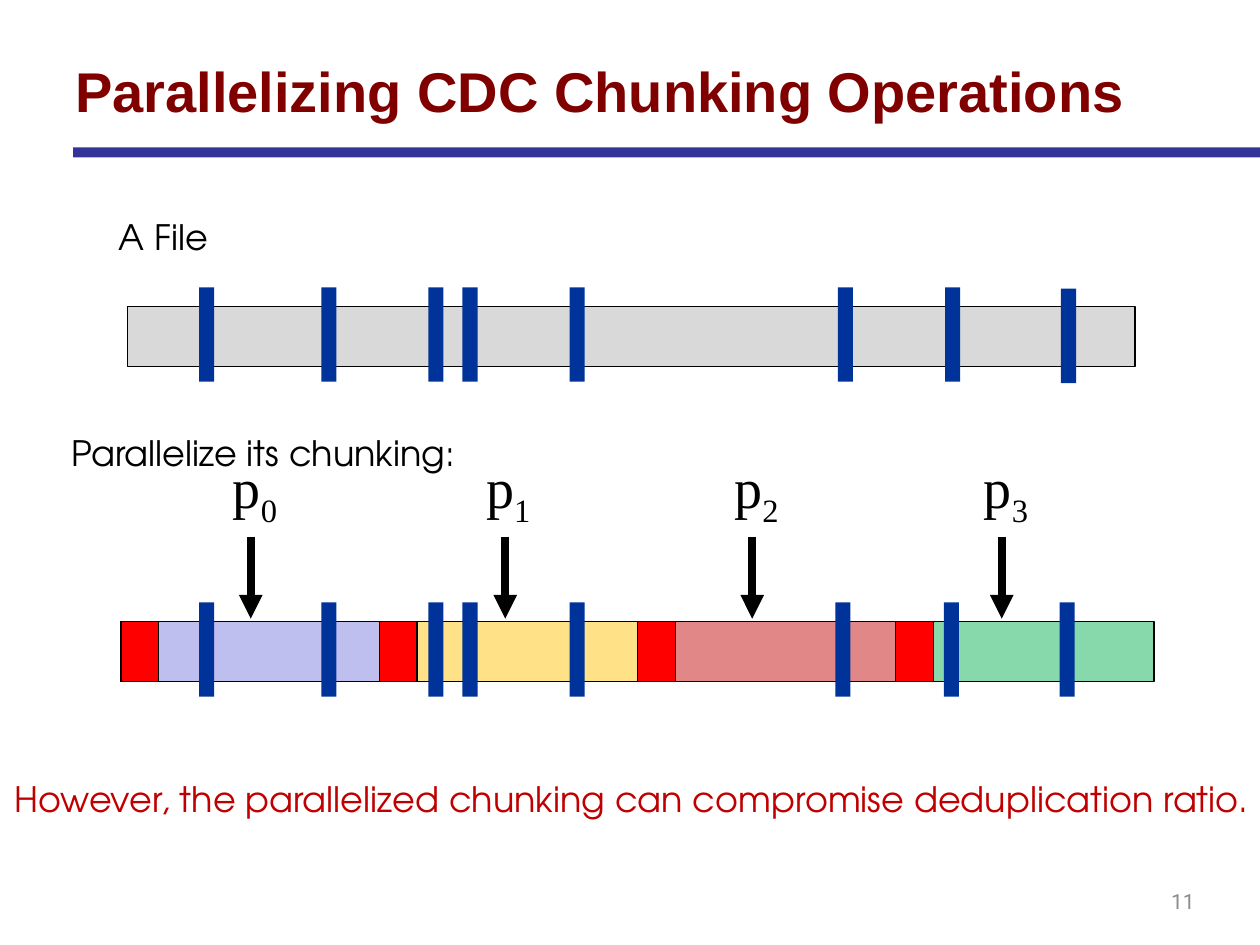
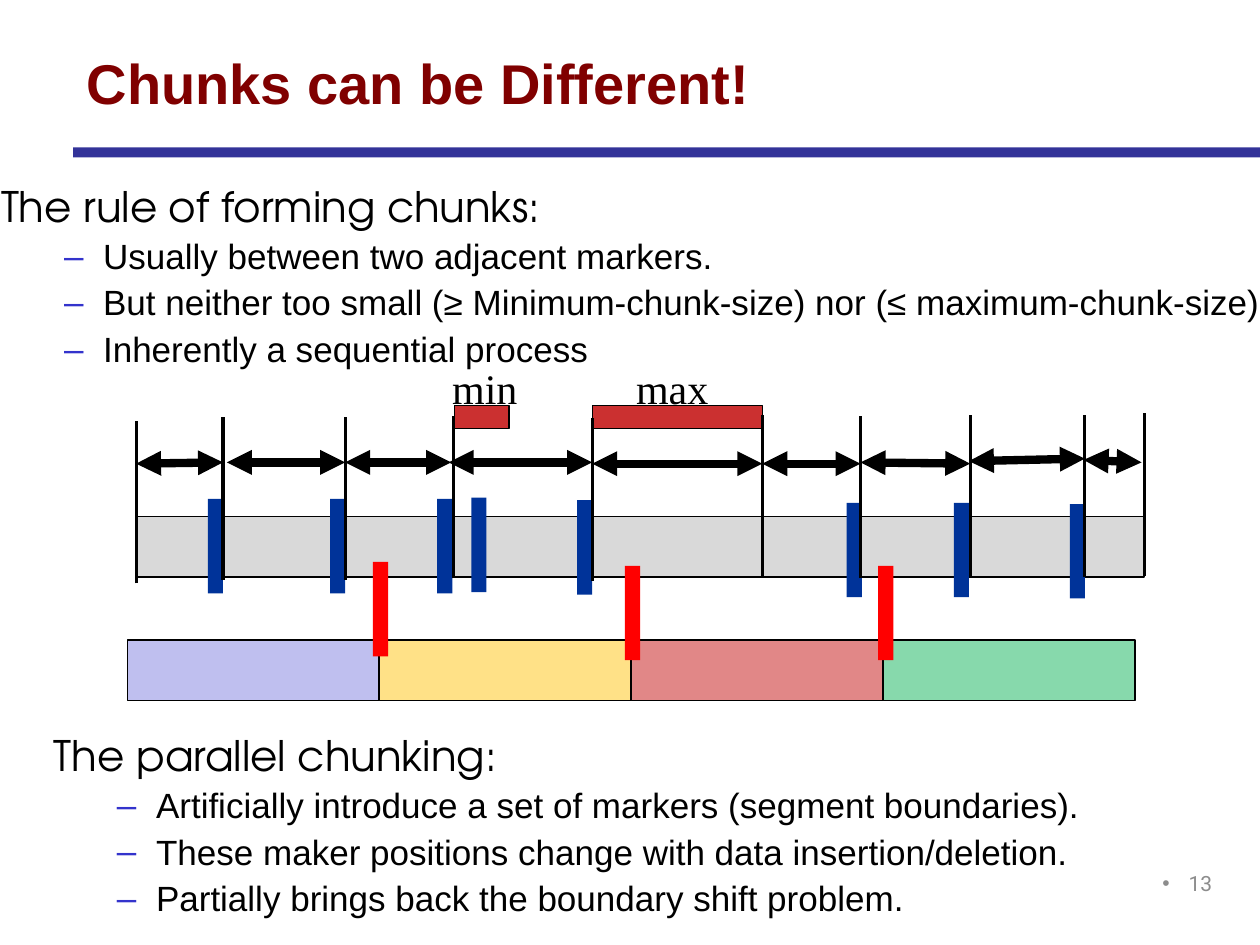
"""Two slides on parallel content-defined chunking."""
from dataclasses import dataclass

from lxml import etree
from pptx import Presentation
from pptx.dml.color import RGBColor
from pptx.enum.shapes import MSO_CONNECTOR, MSO_SHAPE
from pptx.enum.text import MSO_ANCHOR, PP_ALIGN
from pptx.oxml.ns import qn
from pptx.slide import Slide
from pptx.util import Inches, Pt

RECTANGLE = MSO_SHAPE.RECTANGLE
STRAIGHT = MSO_CONNECTOR.STRAIGHT
TOP, MIDDLE = MSO_ANCHOR.TOP, MSO_ANCHOR.MIDDLE
LEFT, CENTER, RIGHT = PP_ALIGN.LEFT, PP_ALIGN.CENTER, PP_ALIGN.RIGHT

BLACK, RED, DARK_RED = "000000", "FF0000", "C00000"
TITLE_COLOR, RULE_COLOR, NUMBER_COLOR = "800000", "333399", "8C8C8C"
FILE_COLOR, MARKER_COLOR, DASH_COLOR = "D9D9D9", "003399", "3333CC"
SEGMENT_COLORS = ("7878DE", "FFC000", DARK_RED, "00B050")
SANS, HEADING, SERIF, NUMBER_FONT = "Arial", "TeX Gyre Adventor", "Times New Roman", "Roboto"

BAR_HEIGHT, MARKER_WIDTH, MARKER_HEIGHT = 0.48, 0.12, 0.75
OVERLAP_WIDTH, BOUNDARY_HEIGHT = 0.3, 1.29


@dataclass(frozen=True)
class Box:
    """A place on the slide, in inches."""
    left: float
    top: float
    width: float
    height: float


@dataclass(frozen=True)
class Bullet:
    """A bullet sign with its colour and indents in inches."""
    sign: str
    color: str
    margin: float
    hanging: float


@dataclass(frozen=True)
class Line:
    """A paragraph of text with its format."""
    text: str
    size: float
    font: str
    color: str = BLACK
    bold: bool = False
    subscript: str = ""
    align: PP_ALIGN = LEFT
    spacing: float = 1.0
    before: float = 0
    bullet: Bullet | None = None


@dataclass(frozen=True)
class Span:
    """A line between two points, in inches."""
    x1: float
    y1: float
    x2: float
    y2: float


DASH = Bullet("–", DASH_COLOR, 0.81, 0.31)
DOT = Bullet("•", NUMBER_COLOR, 0.21, 0.21)

FILE_MARKERS = ((1.58, 2.28), (2.55, 2.28), (3.4, 2.28), (3.67, 2.28),
                (4.52, 2.28), (6.65, 2.28), (7.5, 2.28), (8.42, 2.29))
PARALLEL_MARKERS = tuple((x, 4.78) for x in (1.58, 2.55, 3.4, 3.67, 4.52, 6.63, 7.49, 8.41))
CHUNK_MARKERS = ((1.65, 3.96), (2.62, 3.96), (3.47, 3.96), (3.74, 3.95),
                 (4.58, 3.97), (6.72, 3.99), (7.57, 3.99), (8.49, 4.0))
SEGMENT_MARKERS = ((2.96, 4.46), (4.96, 4.49), (6.97, 4.49))
PROCESSORS = ((1.75, 1.99), (3.76, 4.01), (5.73, 5.97), (7.71, 7.95))
BOUNDARIES = ((1.08, 3.34), (1.77, 3.31), (2.74, 3.31), (3.6, 3.3), (4.7, 3.32),
              (6.05, 3.29), (6.83, 3.3), (7.7, 3.29), (8.61, 3.29), (9.08, 3.28))
CHUNKS = (
    Span(1.08, 3.68, 1.77, 3.67), Span(1.8, 3.67, 2.74, 3.67), Span(2.74, 3.67, 3.58, 3.67),
    Span(3.56, 3.67, 4.7, 3.67), Span(4.7, 3.68, 6.05, 3.68), Span(6.05, 3.68, 6.83, 3.68),
    Span(6.83, 3.67, 7.7, 3.68), Span(7.69, 3.66, 8.61, 3.64), Span(8.6, 3.65, 9.06, 3.67),
)


def rgb(color: str) -> RGBColor:
    """Turn a hex string into a colour."""
    return RGBColor.from_string(color)


def add_bar(slide: Slide, box: Box, color: str, *, outlined: bool = False, opacity: int = 100) -> None:
    """Draw a filled rectangle."""
    bar = slide.shapes.add_shape(
        RECTANGLE, Inches(box.left), Inches(box.top), Inches(box.width), Inches(box.height))
    bar.shadow.inherit = False
    bar.fill.solid()
    bar.fill.fore_color.rgb = rgb(color)
    if opacity < 100:
        tint = bar.fill._xPr.find(qn("a:solidFill"))[0]
        etree.SubElement(tint, qn("a:alpha")).set("val", str(opacity * 1000))
    if outlined:
        bar.line.color.rgb = rgb(BLACK)
        bar.line.width = Pt(0.75)
    else:
        bar.line.fill.background()


def add_line(slide: Slide, span: Span, width: float, *, head: bool = False, tail: bool = False) -> None:
    """Draw a straight black line, with arrowheads where asked."""
    line = slide.shapes.add_connector(
        STRAIGHT, Inches(span.x1), Inches(span.y1), Inches(span.x2), Inches(span.y2))
    line.line.color.rgb = rgb(BLACK)
    line.line.width = Pt(width)
    outline = line.line._get_or_add_ln()
    for end, wanted in (("a:headEnd", head), ("a:tailEnd", tail)):
        if wanted:
            etree.SubElement(outline, qn(end)).set("type", "triangle")
    etree.SubElement(line._element.spPr, qn("a:effectLst"))


def add_text(slide: Slide, box: Box, *lines: Line, anchor: MSO_ANCHOR = TOP,
             wrap: bool = True, right_inset: float = 0.1) -> None:
    """Write formatted paragraphs in a text box."""
    frame = slide.shapes.add_textbox(
        Inches(box.left), Inches(box.top), Inches(box.width), Inches(box.height)).text_frame
    frame.word_wrap = wrap
    frame.vertical_anchor = anchor
    frame.margin_right = Inches(right_inset)
    for index, line in enumerate(lines):
        paragraph = frame.add_paragraph() if index else frame.paragraphs[0]
        paragraph.alignment = line.align
        paragraph.line_spacing = line.spacing
        if line.before:
            paragraph.space_before = Pt(line.before)
        if line.bullet:
            properties = paragraph._p.get_or_add_pPr()
            properties.set("marL", str(Inches(line.bullet.margin)))
            properties.set("indent", str(-Inches(line.bullet.hanging)))
            tint = etree.SubElement(properties, qn("a:buClr"))
            etree.SubElement(tint, qn("a:srgbClr")).set("val", line.bullet.color)
            etree.SubElement(properties, qn("a:buFont")).set("typeface", SANS)
            etree.SubElement(properties, qn("a:buChar")).set("char", line.bullet.sign)
        for part in filter(None, (line.text, line.subscript)):
            run = paragraph.add_run()
            run.text = part
            run.font.size = Pt(line.size)
            run.font.name = line.font
            run.font.bold = line.bold
            run.font.color.rgb = rgb(line.color)
        if line.subscript:
            run.font._element.set("baseline", "-25000")


def add_frame(deck: Presentation, title: str, title_box: Box, number: str,
              number_box: Box, bullet: Bullet | None = None) -> Slide:
    """Add a slide with its rule, title and number."""
    slide = deck.slides.add_slide(deck.slide_layouts[6])
    add_bar(slide, Box(0.58, 1.17, 9.42, 0.08), RULE_COLOR)
    add_text(slide, title_box, Line(title, 32, SANS, TITLE_COLOR, bold=True), anchor=MIDDLE)
    add_text(slide, number_box, Line(number, 12, NUMBER_FONT, NUMBER_COLOR, align=RIGHT, bullet=bullet),
             anchor=MIDDLE)
    return slide


def add_markers(slide: Slide, places: tuple[tuple[float, float], ...], color: str = MARKER_COLOR) -> None:
    """Draw the upright chunk markers."""
    for left, top in places:
        add_bar(slide, Box(left, top, MARKER_WIDTH, MARKER_HEIGHT), color)


def add_segments(slide: Slide, left: float, top: float, width: float) -> None:
    """Draw the row of tinted file segments."""
    for index, color in enumerate(SEGMENT_COLORS):
        add_bar(slide, Box(left + index * width, top, width, BAR_HEIGHT), color, outlined=True, opacity=47)


def add_caption(slide: Slide, text: str, box: Box, color: str = BLACK, right_inset: float = 0.1) -> None:
    """Write a centred caption."""
    add_text(slide, box, Line(text, 20, HEADING, color, align=CENTER, spacing=0.9),
             anchor=MIDDLE, right_inset=right_inset)


def add_points(slide: Slide, box: Box, heading: str, *points: str) -> None:
    """Write a heading with dashed points below it."""
    add_text(slide, box, Line(heading, 24, HEADING),
             *(Line(point, 20, SANS, spacing=0.9, before=5, bullet=DASH) for point in points))


def build_parallel_slide(deck: Presentation) -> None:
    """Show a file chunked by four processors."""
    slide = add_frame(deck, "Parallelizing CDC Chunking Operations", Box(0.5, 0.17, 8.62, 1.09),
                      "11", Box(6.58, 6.95, 3, 0.4))
    add_caption(slide, "A File", Box(0.47, 1.5, 1.65, 0.79))
    add_bar(slide, Box(1.01, 2.43, 8, BAR_HEIGHT), FILE_COLOR, outlined=True)
    add_markers(slide, FILE_MARKERS)

    add_caption(slide, "Parallelize its chunking:", Box(-0.01, 3.22, 4.44, 0.79), right_inset=0.34)
    for index, (label_left, arrow_x) in enumerate(PROCESSORS):
        add_text(slide, Box(label_left, 3.54, 0.71, 0.64), Line("p", 32, SERIF, subscript=str(index)))
        add_line(slide, Span(arrow_x, 4.26, arrow_x, 4.91), 4.5, tail=True)

    row_left, row_top, segment_width = 0.96, 4.93, 2.05
    add_segments(slide, row_left, row_top, segment_width)
    for index in range(len(SEGMENT_COLORS)):
        add_bar(slide, Box(row_left + index * segment_width, row_top, OVERLAP_WIDTH, BAR_HEIGHT),
                RED, outlined=True)
    add_markers(slide, PARALLEL_MARKERS)
    add_caption(slide, "However, the parallelized chunking can compromise deduplication ratio.",
                Box(-0.36, 5.96, 10.75, 0.79), DARK_RED)


def build_difference_slide(deck: Presentation) -> None:
    """Compare sequential chunks with parallel segments."""
    slide = add_frame(deck, "Chunks can be Different!", Box(0.59, 0.32, 9.5, 0.67),
                      "13", Box(6.72, 6.81, 3, 0.4), DOT)
    add_bar(slide, Box(1.08, 4.1, 8, BAR_HEIGHT), FILE_COLOR, outlined=True)
    add_markers(slide, CHUNK_MARKERS)
    add_points(slide, Box(-0.09, 1.38, 10.51, 1.31), "The rule of forming chunks:",
               "Usually between two adjacent markers.",
               "But neither too small (≥ Minimum-chunk-size) nor (≤ maximum-chunk-size)",
               "Inherently a sequential process")

    for limit_left, limit_width in ((3.61, 0.43), (4.7, 1.35)):
        add_bar(slide, Box(limit_left, 3.22, limit_width, 0.18), DARK_RED, outlined=True, opacity=81)
    for x, top in BOUNDARIES:
        add_line(slide, Span(x, top + BOUNDARY_HEIGHT, x, top), 1.75)
    for chunk in CHUNKS:
        add_line(slide, chunk, 4.75, head=True, tail=True)

    add_points(slide, Box(0.33, 5.74, 10.51, 1.61), "The parallel chunking:",
               "Artificially introduce a set of markers (segment boundaries).",
               "These maker positions change with data insertion/deletion.",
               "Partially brings back the boundary shift problem.")
    add_segments(slide, 1.01, 5.08, 2)
    add_markers(slide, SEGMENT_MARKERS, RED)
    for limit, left, width in (("min", 3.49, 0.72), ("max", 4.95, 0.78)):
        add_text(slide, Box(left, 2.83, width, 0.5), Line(limit, 24, SERIF), wrap=False)


def main() -> None:
    """Build and save the deck."""
    deck = Presentation()
    deck.slide_width, deck.slide_height = Inches(10), Inches(7.5)
    build_parallel_slide(deck)
    build_difference_slide(deck)
    deck.save("out.pptx")


if __name__ == "__main__":
    main()
